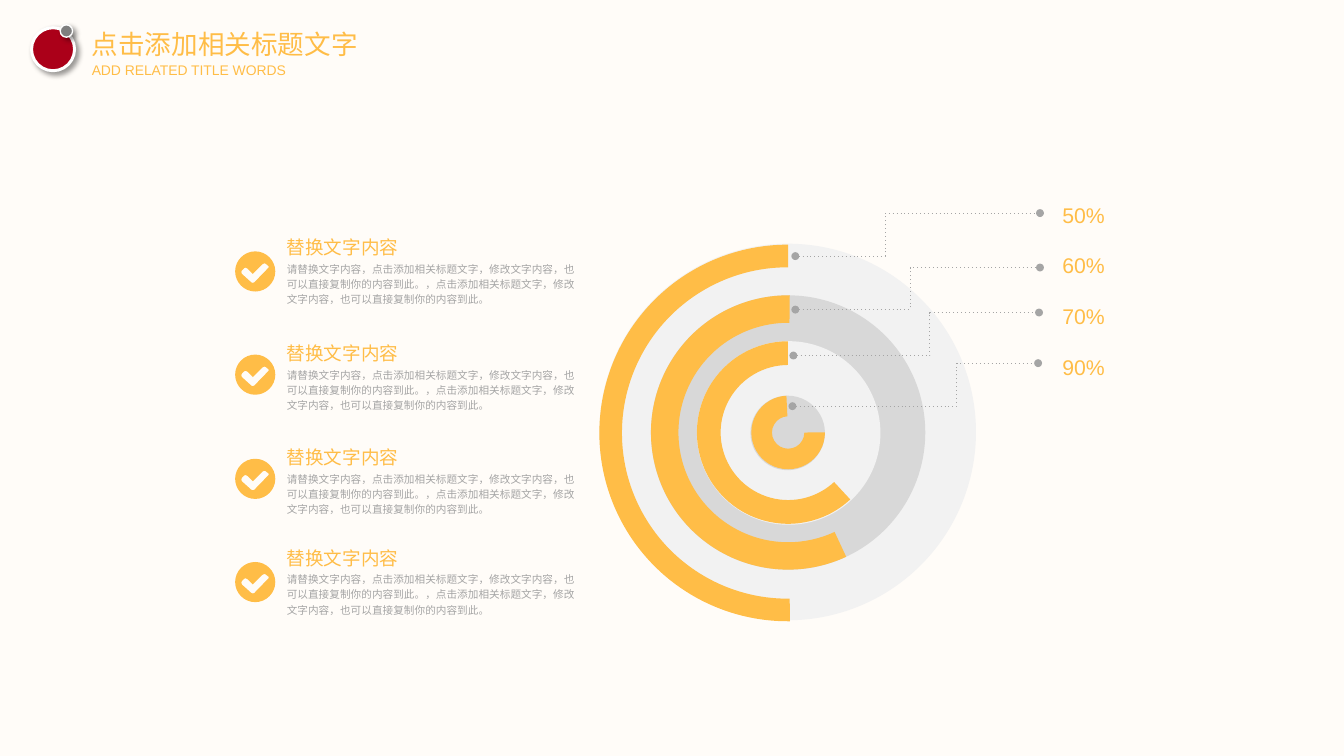
"""Build a slide of four concentric progress rings with a checklist and percentage callouts."""
from lxml import etree
from pptx import Presentation
from pptx.dml.color import RGBColor
from pptx.enum import shapes, text
from pptx.oxml import ns
from pptx.util import Inches, Pt

THEME = {
    "font": "Arial",
    "background": "FFFCF8", "accent": "FFBD47", "muted": "A5A5A5",
    "pale": "F2F2F2", "grey": "D8D8D8", "white": "FFFFFF",
    "badge": "AB0019", "dot": "7F7F7F", "shadow": "000000",
    "title": 20, "subtitle": 10.5, "percent": 16, "heading": 14, "body": 8,
}
TITLE = "点击添加相关标题文字"
SUBTITLE = "ADD RELATED TITLE WORDS"
HEADING = "替换文字内容"
BODY = ("请替换文字内容，点击添加相关标题文字，修改文字内容，也可以直接复制你的内容到此。，"
        "点击添加相关标题文字，修改文字内容，也可以直接复制你的内容到此。")
ITEMS = [(HEADING, 2.42, BODY, 2.72), (HEADING, 3.53, BODY, 3.83),
         (HEADING, 4.62, BODY, 4.92), (HEADING, 5.68, BODY, 5.97)]
CHECK_CENTRES = [2.84, 3.92, 5.01, 6.09]
TRACKS = [(6.27, 2.55, 3.94, "pale"), (6.81, 3.09, 2.87, "grey"),
          (7.29, 3.57, 1.92, "pale"), (7.85, 4.14, 0.78, "grey")]
PROGRESS = [(6.27, 2.56, 3.94, 269.3, 90.15, 0.06), (6.81, 3.09, 2.87, 244.98, 90.67, 0.1),
            (7.29, 3.57, 1.91, 227.17, 89.84, 0.13), (7.86, 4.14, 0.77, 180, 87.28, 0.28)]
PERCENTS = ["50%", "60%", "70%", "90%"]
LEADERS = [(8.32, 2.68, 10.88, 2.23, 9.26), (8.32, 3.24, 10.88, 2.8, 9.52),
           (8.3, 3.72, 10.87, 3.27, 9.73), (8.29, 4.25, 10.86, 3.8, 10.01)]
MEDALLION = [(0.33, 0.29, 0.45, "badge", 2.25), (0.63, 0.26, 0.13, "dot", 1)]
DISC = [(0, 1), (-0.55, 1), (-1, 0.55), (-1, 0), (-1, -0.55), (-0.55, -1), (0, -1),
        (0.55, -1), (1, -0.55), (1, 0), (1, 0.55), (0.55, 1), (0, 1)]
TICK = [(14, -4), (14, -5.5), (11, -8), (9.5, -8.5), (7.5, -7.5), (-2.5, 2.5),
        (-8, -3), (-10, -4), (-11.5, -3.5), (-14, -1), (-14.5, 0.5), (-14, 2.5),
        (-4, 11.5), (-2.5, 12), (-1, 11.5)]

PERCENT_TOP, PERCENT_STEP = 2.06, 0.53
CHECK_X, CHECK_RADIUS = 2.67, 0.21


def color(key):
    return RGBColor.from_string(THEME[key])


def add_xml(parent, tag, **attributes):
    return etree.SubElement(parent, ns.qn(tag), attributes)


def paint(figure, fill):
    figure.shadow.inherit = False
    figure.fill.solid()
    figure.fill.fore_color.rgb = color(fill)
    figure.line.fill.background()
    return figure


def add_round(kind, x, y, size, fill):
    box = [Inches(value) for value in (x, y, size, size)]
    return paint(slide.shapes.add_shape(kind, *box), fill)


def write(words, x, y, width, height, *, size, fill="accent", parent=None,
          spacing=None, align=text.PP_ALIGN.LEFT, anchor=text.MSO_ANCHOR.TOP, wrap=False):
    box = [Inches(value) for value in (x, y, width, height)]
    frame = (parent or slide).shapes.add_textbox(*box).text_frame
    frame.margin_left = frame.margin_right = frame.margin_top = frame.margin_bottom = 0
    frame.word_wrap, frame.vertical_anchor = wrap, anchor
    paragraph = frame.paragraphs[0]
    paragraph.alignment, paragraph.line_spacing = align, spacing
    run = paragraph.add_run()
    run.text = words
    run.font.name, run.font.size = THEME["font"], Pt(THEME[size])
    run.font.color.rgb = color(fill)


def add_leader(x, y, end_x, end_y, bend):
    ends = [Inches(value) for value in (x, y, end_x, end_y)]
    leader = slide.shapes.add_connector(shapes.MSO_CONNECTOR.ELBOW, *ends)
    leader.line.color.rgb = color("muted")
    leader.line.width = Pt(0.75)
    properties = leader.element.spPr
    ratio = round((bend - x) / (end_x - x) * 100000)
    add_xml(properties.find(".//" + ns.qn("a:avLst")), "a:gd", name="adj1", fmla=f"val {ratio}")
    stroke = properties.find(ns.qn("a:ln"))
    add_xml(stroke, "a:prstDash", val="dot")
    for tag in ("a:headEnd", "a:tailEnd"):
        add_xml(stroke, tag, type="oval")
    add_xml(properties, "a:effectLst")


def add_check(x, y):
    disc, tick = [[(Inches(x + dx * unit), Inches(y + dy * unit)) for dx, dy in points]
                  for points, unit in ((DISC, CHECK_RADIUS), (TICK, 0.01))]
    builder = slide.shapes.build_freeform(*disc[0])
    builder.add_line_segments(disc[1:])
    builder.move_to(*tick[0])
    builder.add_line_segments(tick[1:])
    check = paint(builder.convert_to_shape(), "accent")
    sides = list(check.element.spPr.iter(ns.qn("a:lnTo")))[:len(DISC) - 1]
    for first in range(0, len(sides), 3):
        curve = etree.Element(ns.qn("a:cubicBezTo"))
        sides[first].addprevious(curve)
        for side in sides[first:first + 3]:
            curve.append(side[0])
            side.getparent().remove(side)


def cast_shadow(figure):
    effects = figure.element.spPr.find(ns.qn("a:effectLst"))
    shadow = add_xml(effects, "a:outerShdw", blurRad=str(Pt(4)), dist=str(Pt(3)),
                     dir=str(45 * 60000), algn="tl", rotWithShape="0")
    tint = add_xml(shadow, "a:srgbClr", val=THEME["shadow"])
    add_xml(tint, "a:alpha", val="40000")


deck = Presentation()
deck.slide_width, deck.slide_height = Inches(14.06), Inches(7.91)
slide = deck.slides.add_slide(deck.slide_layouts[6])
slide.background.fill.solid()
slide.background.fill.fore_color.rgb = color("background")

for track in TRACKS:
    add_round(shapes.MSO_SHAPE.OVAL, *track)
for x, y, size, start, end, band in PROGRESS:
    arc = add_round(shapes.MSO_SHAPE.BLOCK_ARC, x, y, size, "accent")
    arc.rotation = 180
    for index, value in enumerate((start * 0.6, end * 0.6, band)):
        arc.adjustments[index] = value

for row, percent in enumerate(PERCENTS):
    write(percent, 11.11, PERCENT_TOP + row * PERCENT_STEP, 0.45, 0.32, size="percent",
          spacing=1.2, align=text.PP_ALIGN.CENTER, anchor=text.MSO_ANCHOR.BOTTOM)
for leader in LEADERS:
    add_leader(*leader)

for heading, heading_top, body, body_top in ITEMS:
    item = slide.shapes.add_group_shape()
    write(heading, 3, heading_top, 1.18, 0.28, size="heading", spacing=1.2, parent=item)
    write(body, 3, body_top, 3.02, 0.48, size="body", fill="muted", spacing=1.2,
          parent=item, wrap=True)
for centre in CHECK_CENTRES:
    add_check(CHECK_X, centre)

write(TITLE, 0.96, 0.29, 2.8, 0.34, size="title")
write(SUBTITLE, 0.96, 0.64, 2.08, 0.18, size="subtitle")
for x, y, size, fill, border in MEDALLION:
    button = add_round(shapes.MSO_SHAPE.OVAL, x, y, size, fill)
    button.line.color.rgb = color("white")
    button.line.width = Pt(border)
    cast_shadow(button)

deck.save("out.pptx")
